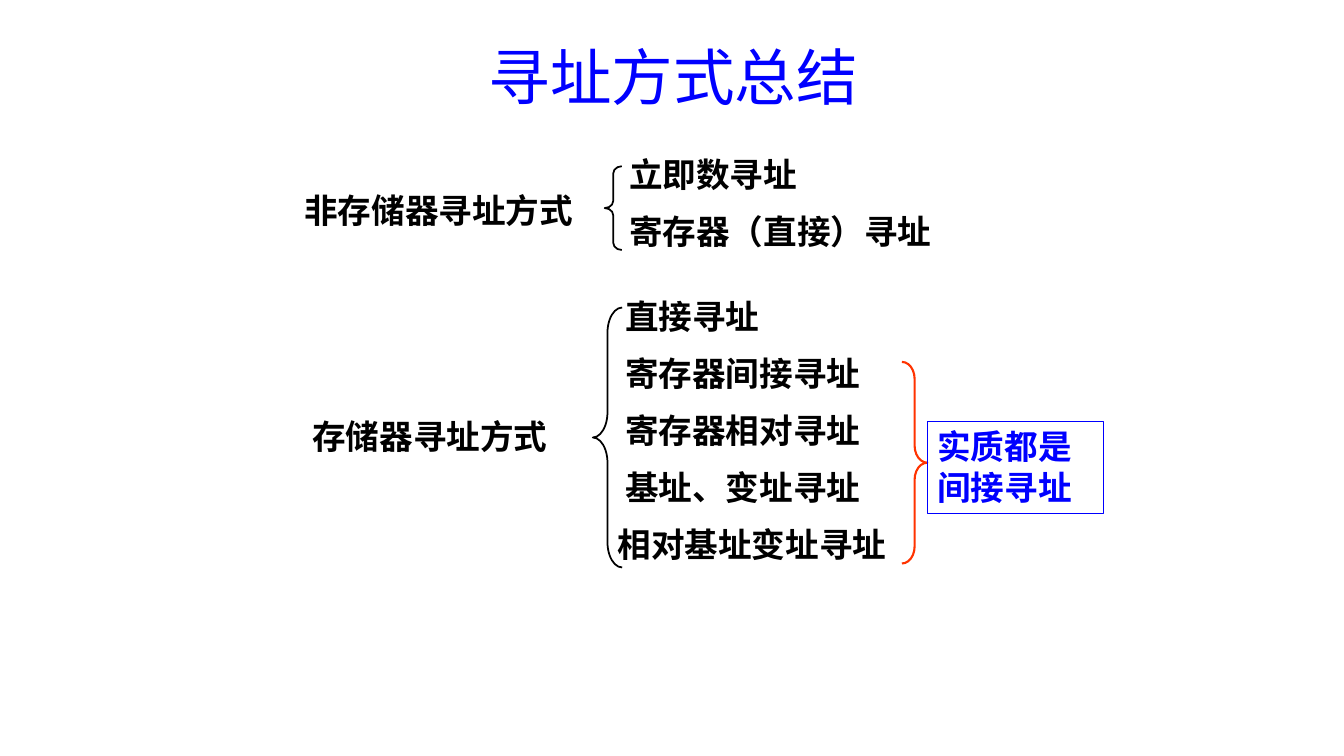
"""Build the slide that sums up the addressing modes."""
from dataclasses import dataclass

from pptx import Presentation
from pptx.dml.color import RGBColor
from pptx.enum.shapes import MSO_SHAPE
from pptx.enum.text import MSO_ANCHOR, MSO_AUTO_SIZE, PP_ALIGN
from pptx.oxml.xmlchemy import OxmlElement
from pptx.shapes.autoshape import Shape
from pptx.slide import Slide
from pptx.util import Cm, Pt

COLORS = {"blue": "0000FF", "black": "000000", "red": "FF3300"}


@dataclass(frozen=True)
class Box:
    left: float
    top: float
    width: float
    height: float


@dataclass(frozen=True)
class Brace:
    box: Box
    kind: MSO_SHAPE
    curve: float
    color: str
    weight: float


@dataclass(frozen=True)
class Family:
    name: str
    name_box: Box
    modes: tuple[str, ...]
    modes_box: Box
    indents: tuple[float, ...]
    brace: Brace


FAMILIES = (
    Family("非存储器寻址方式", Box(7.42, 4.65, 7.42, 1.27),
           ("立即数寻址", "寄存器（直接）寻址"),
           Box(15.04, 3.76, 9.09, 2.82), (0.56, 0.56),
           Brace(Box(15.24, 4.19, 0.43, 2.11), MSO_SHAPE.LEFT_BRACE, 0.42, "black", 1.25)),
    Family("存储器寻址方式", Box(7.62, 10.36, 6.78, 1.27),
           ("直接寻址", "寄存器间接寻址", "寄存器相对寻址", "基址、变址寻址", "相对基址变址寻址"),
           Box(14.94, 7.32, 8.71, 7.44), (0.56, 0.56, 0.56, 0.56, 0.37),
           Brace(Box(14.94, 7.75, 0.74, 6.55), MSO_SHAPE.LEFT_BRACE, 0.86, "black", 1.25)),
)
INDIRECT_BRACE = Brace(Box(22.73, 9.12, 0.64, 5.08), MSO_SHAPE.RIGHT_BRACE, 0.67, "red", 1.5)


def corners(box: Box) -> tuple[Cm, Cm, Cm, Cm]:
    """Return the left, top, width and height of a box as lengths."""
    return Cm(box.left), Cm(box.top), Cm(box.width), Cm(box.height)


def place(shape: Shape, box: Box) -> None:
    """Move a placeholder to a box."""
    shape.left, shape.top, shape.width, shape.height = corners(box)


def write(shape: Shape, *lines: str, size: float = 24, font: str = "Times New Roman",
          color: str = "black", bold: bool = True, align: PP_ALIGN = PP_ALIGN.LEFT,
          anchor: MSO_ANCHOR = MSO_ANCHOR.TOP, indents: tuple[float, ...] = ()) -> None:
    """Fill a shape with one formatted paragraph per line."""
    frame = shape.text_frame
    frame.word_wrap = True
    frame.auto_size = MSO_AUTO_SIZE.NONE
    frame.vertical_anchor = anchor
    frame.text = "\n".join(lines)
    for number, paragraph in enumerate(frame.paragraphs):
        paragraph.alignment = align
        paragraph.space_before = Pt(size / 2 if number else 0)
        paragraph.font.size = Pt(size)
        for run in paragraph.runs:
            run.font.size = Pt(size)
            run.font.name = font
            run.font.bold = bold
            run.font.color.rgb = RGBColor.from_string(COLORS[color])
        if indents:
            properties = paragraph._p.get_or_add_pPr()
            properties.set("marL", str(Cm(indents[number])))
            properties.set("indent", "0")
            properties.insert_element_before(OxmlElement("a:buNone"), "a:tabLst", "a:defRPr", "a:extLst")


def add_outline(slide: Slide, kind: MSO_SHAPE, box: Box, color: str, weight: float) -> Shape:
    """Add an unfilled shape with a coloured line."""
    outline = slide.shapes.add_shape(kind, *corners(box))
    outline.shadow.inherit = False
    outline.fill.background()
    outline.line.color.rgb = RGBColor.from_string(COLORS[color])
    outline.line.width = Pt(weight)
    return outline


def add_brace(slide: Slide, brace: Brace) -> None:
    """Add a brace that points at its middle."""
    outline = add_outline(slide, brace.kind, brace.box, brace.color, brace.weight)
    outline.adjustments[0] = brace.curve
    outline.adjustments[1] = 0.5


def main() -> None:
    """Build and save the slide."""
    deck = Presentation()
    deck.slide_width, deck.slide_height = Cm(33.87), Cm(19.05)
    slide = deck.slides.add_slide(deck.slide_layouts.get_by_name("Two Content"))

    heading = slide.shapes.title
    place(heading, Box(5.54, 0.33, 22.86, 3.18))
    write(heading, "寻址方式总结", size=44, font="Arial", color="blue", bold=False,
          align=PP_ALIGN.CENTER, anchor=MSO_ANCHOR.MIDDLE)

    for idx, family in enumerate(FAMILIES, start=1):
        family_name = slide.shapes.add_textbox(*corners(family.name_box))
        write(family_name, family.name)
        modes = slide.placeholders[idx]
        place(modes, family.modes_box)
        write(modes, *family.modes, indents=family.indents)
        add_brace(slide, family.brace)

    add_brace(slide, INDIRECT_BRACE)
    remark = add_outline(slide, MSO_SHAPE.RECTANGLE, Box(23.37, 10.62, 4.45, 2.31), "blue", 0.75)
    write(remark, "实质都是间接寻址", color="blue")
    deck.save("out.pptx")


if __name__ == "__main__":
    main()
